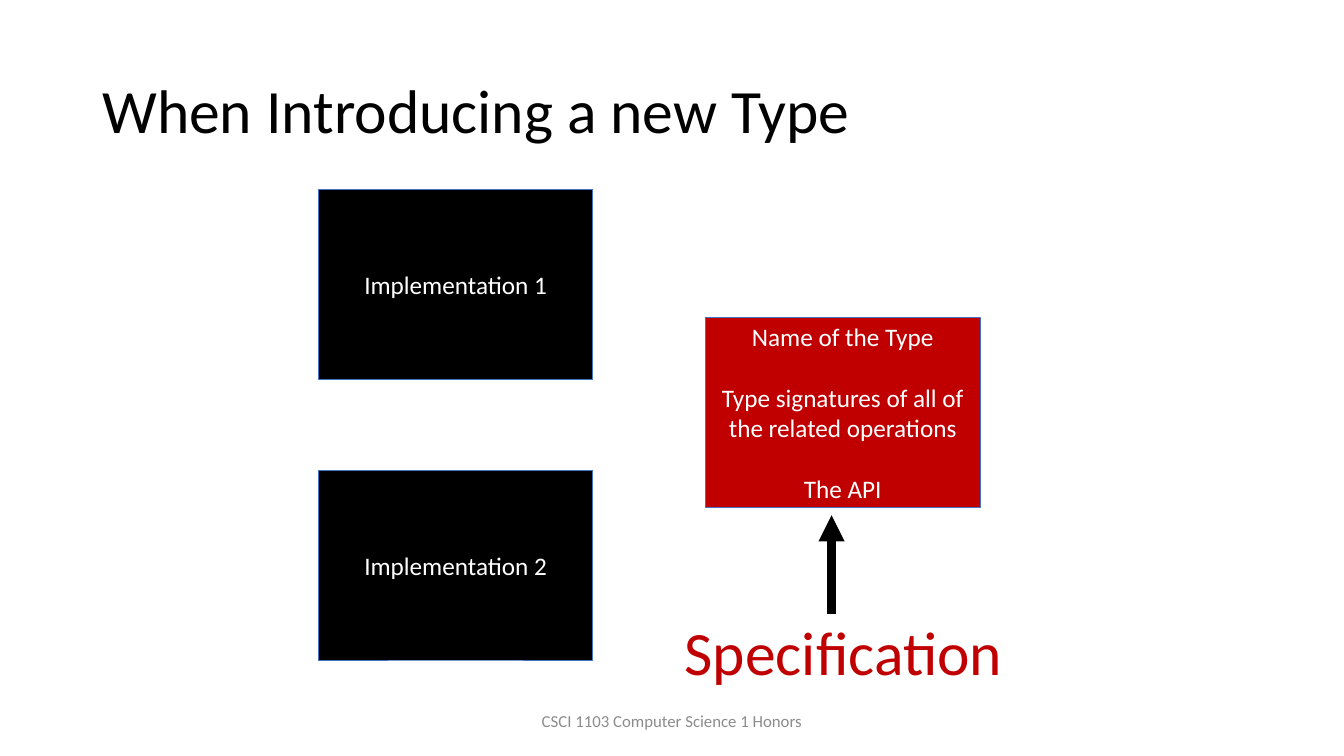
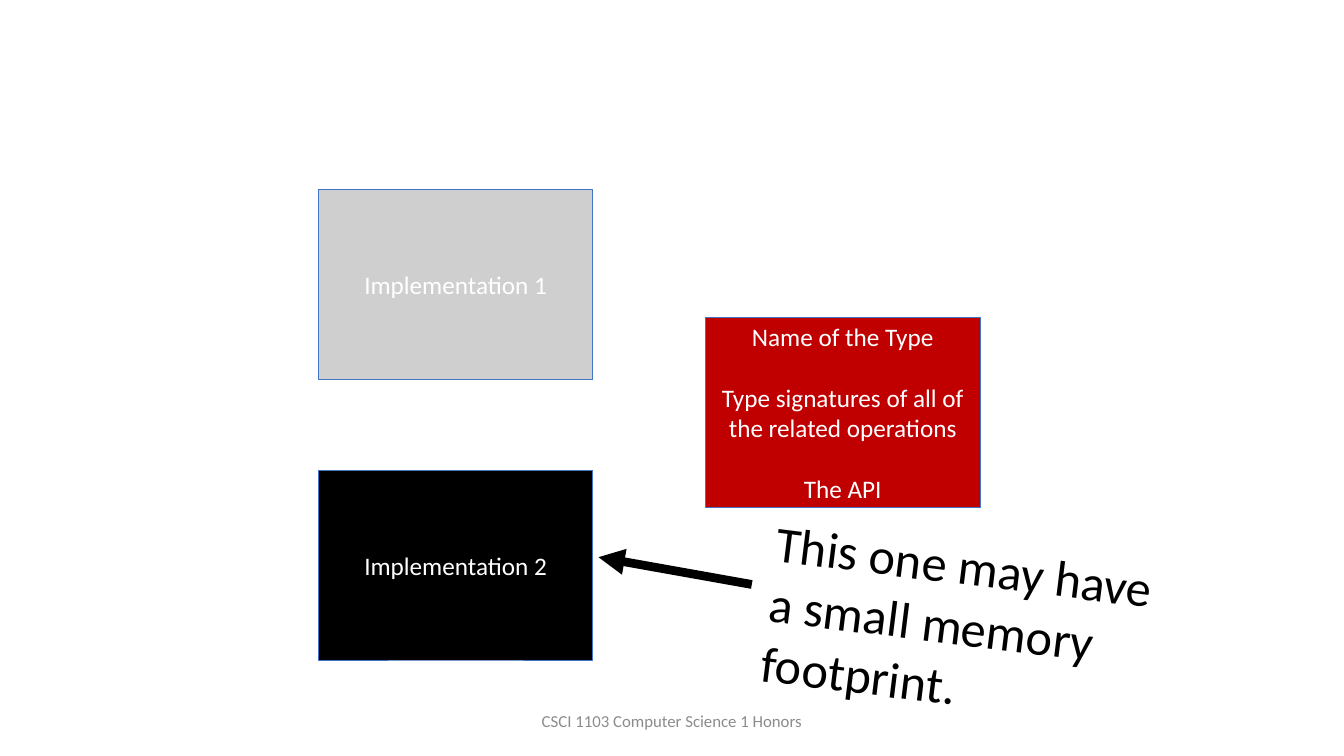
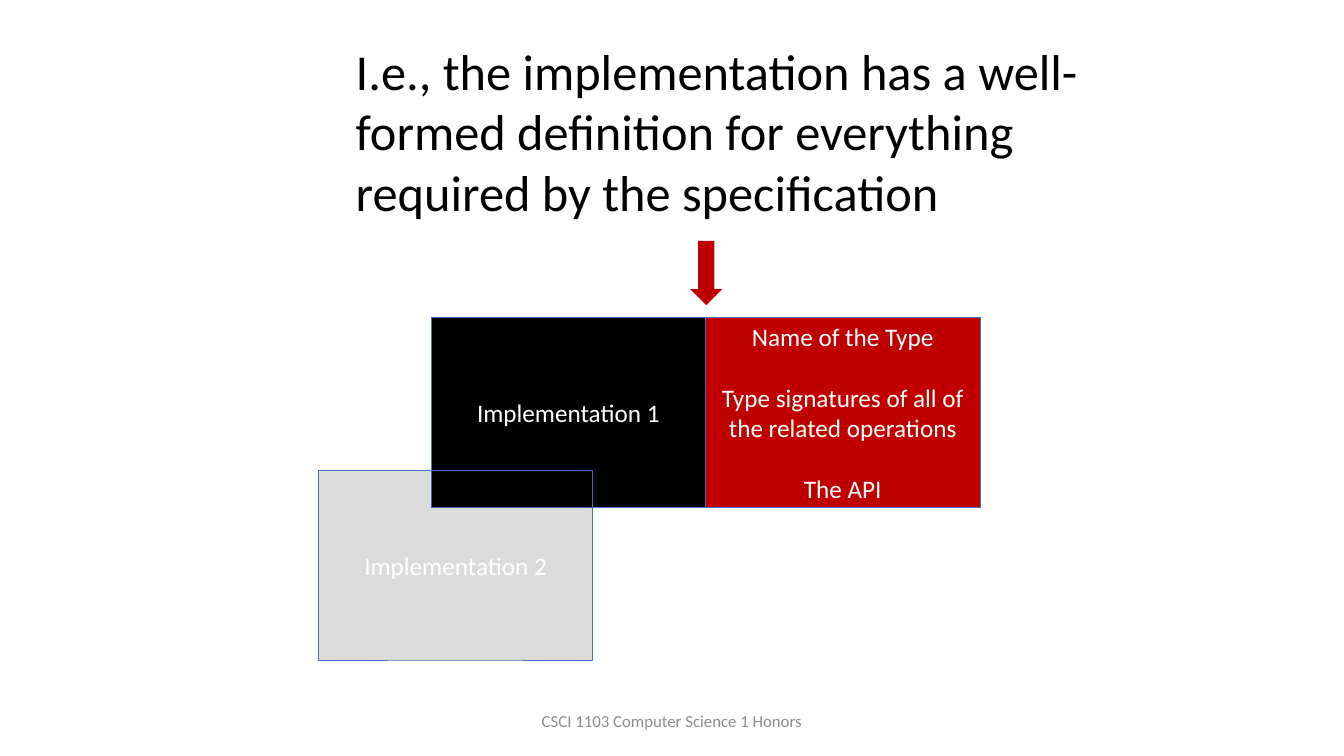
from dataclasses import dataclass

from lxml import etree
from pptx import Presentation
from pptx import util as u
from pptx.dml.color import RGBColor
from pptx.enum import shapes, text
from pptx.oxml import ns


@dataclass(frozen=True)
class Theme:
    font: str = "Calibri"
    black: str = "000000"
    white: str = "FFFFFF"
    red: str = "C00000"
    blue: str = "4472C4"
    grey: str = "8C8C8C"
    title: int = 44
    remark: int = 36
    label: int = 18
    footer: int = 12
    outline: float = 0.5
    arrow: float = 6.25


BOX_WIDTH, BOX_HEIGHT = 196, 135.5
API_LEFT, API_TOP = 504, 227
STACK_LEFT, FIRST_TOP, SECOND_TOP = 227.5, 135.5, 336
JOINED_LEFT = API_LEFT - BOX_WIDTH
PARAGRAPH_GAP = 22

FOOTER = "CSCI 1103 Computer Science 1 Honors"
API_LINES = (
    "Name of the Type",
    "Type signatures of all of the related operations",
    "The API",
)


class Slides:
    def __init__(self, theme):
        self.theme = theme
        self.deck = Presentation()
        self.deck.slide_width = u.Pt(960)
        self.deck.slide_height = u.Pt(540)
        self.page = None

    def add_page(self):
        self.page = self.deck.slides.add_slide(self.deck.slide_layouts[6])
        self.label(FOOTER, (318, 500.5, 324, 29), self.theme.footer,
                   self.theme.grey, align=text.PP_ALIGN.CENTER,
                   anchor=text.MSO_ANCHOR.MIDDLE)
        self.box(API_LINES, API_LEFT, API_TOP, self.theme.red)

    def fill_text(self, frame, lines, size, color, align, anchor, spacing=None):
        frame.text = "\n".join(lines)
        frame.vertical_anchor = anchor
        for index, para in enumerate(frame.paragraphs):
            para.alignment = align
            para.line_spacing = spacing
            if index:
                para.space_before = u.Pt(PARAGRAPH_GAP)
            for span in para.runs:
                span.font.name = self.theme.font
                span.font.size = u.Pt(size)
                span.font.color.rgb = RGBColor.from_string(color)

    def label(self, words, area, size, color, align=text.PP_ALIGN.LEFT,
              anchor=text.MSO_ANCHOR.TOP, spacing=None, wrap=True, rotation=0):
        box = self.page.shapes.add_textbox(*map(u.Pt, area))
        box.rotation = rotation
        box.text_frame.word_wrap = wrap
        self.fill_text(box.text_frame, [words], size, color, align, anchor,
                       spacing)

    def title(self, words):
        self.label(words, (66, 29, 828, 104), self.theme.title,
                   self.theme.black, anchor=text.MSO_ANCHOR.MIDDLE, spacing=0.9)

    def remark(self, words, area, rotation=0):
        self.label(words, area, self.theme.remark, self.theme.black,
                   rotation=rotation)

    def shape(self, kind, area, color):
        shape = self.page.shapes.add_shape(kind, *map(u.Pt, area))
        shape.shadow.inherit = False
        shape.fill.solid()
        shape.fill.fore_color.rgb = RGBColor.from_string(color)
        shape.line.fill.background()
        return shape

    def box(self, lines, left, top, color, opacity=100):
        box = self.shape(shapes.MSO_SHAPE.RECTANGLE,
                         (left, top, BOX_WIDTH, BOX_HEIGHT), color)
        box.line.color.rgb = RGBColor.from_string(self.theme.blue)
        box.line.width = u.Pt(self.theme.outline)
        if opacity < 100:
            fill_color = box.element.spPr.find(ns.qn("a:solidFill"))[0]
            etree.SubElement(fill_color, ns.qn("a:alpha"),
                             val=str(opacity * 1000))
        self.fill_text(box.text_frame, lines, self.theme.label,
                       self.theme.white, text.PP_ALIGN.CENTER,
                       text.MSO_ANCHOR.MIDDLE)

    def implementation(self, number, left, top, opacity=100):
        self.box([f"Implementation {number}"], left, top, self.theme.black,
                 opacity)

    def arrow(self, start, end):
        arrow = self.page.shapes.add_connector(
            shapes.MSO_CONNECTOR.STRAIGHT, *map(u.Pt, start + end))
        arrow.line.color.rgb = RGBColor.from_string(self.theme.black)
        arrow.line.width = u.Pt(self.theme.arrow)
        properties = arrow.element.spPr
        etree.SubElement(properties.find(ns.qn("a:ln")), ns.qn("a:tailEnd"),
                         type="triangle")
        etree.SubElement(properties, ns.qn("a:effectLst"))


def main():
    theme = Theme()
    slides = Slides(theme)

    slides.add_page()
    slides.title("When Introducing a new Type")
    slides.implementation(1, STACK_LEFT, FIRST_TOP)
    slides.implementation(2, STACK_LEFT, SECOND_TOP)
    slides.label("Specification", (482, 435, 245, 60.5), theme.title, theme.red,
                 wrap=False)
    slides.arrow((594, 438.5), (594, 368))

    slides.add_page()
    slides.implementation(1, STACK_LEFT, FIRST_TOP, opacity=19)
    slides.implementation(2, STACK_LEFT, SECOND_TOP)
    slides.remark("This one may have a small memory footprint.",
                  (541.5, 378, 287.5, 138), rotation=7.1)
    slides.arrow((537, 417.5), (427.5, 398))

    slides.add_page()
    slides.implementation(1, JOINED_LEFT, API_TOP)
    slides.implementation(2, STACK_LEFT, SECOND_TOP, opacity=14)
    slides.remark("I.e., the implementation has a well-formed definition for "
                  "everything required by the specification",
                  (247, 25, 585.5, 138))
    slides.shape(shapes.MSO_SHAPE.DOWN_ARROW, (493, 172, 23, 46), theme.red)

    slides.deck.save("out.pptx")


if __name__ == "__main__":
    main()
